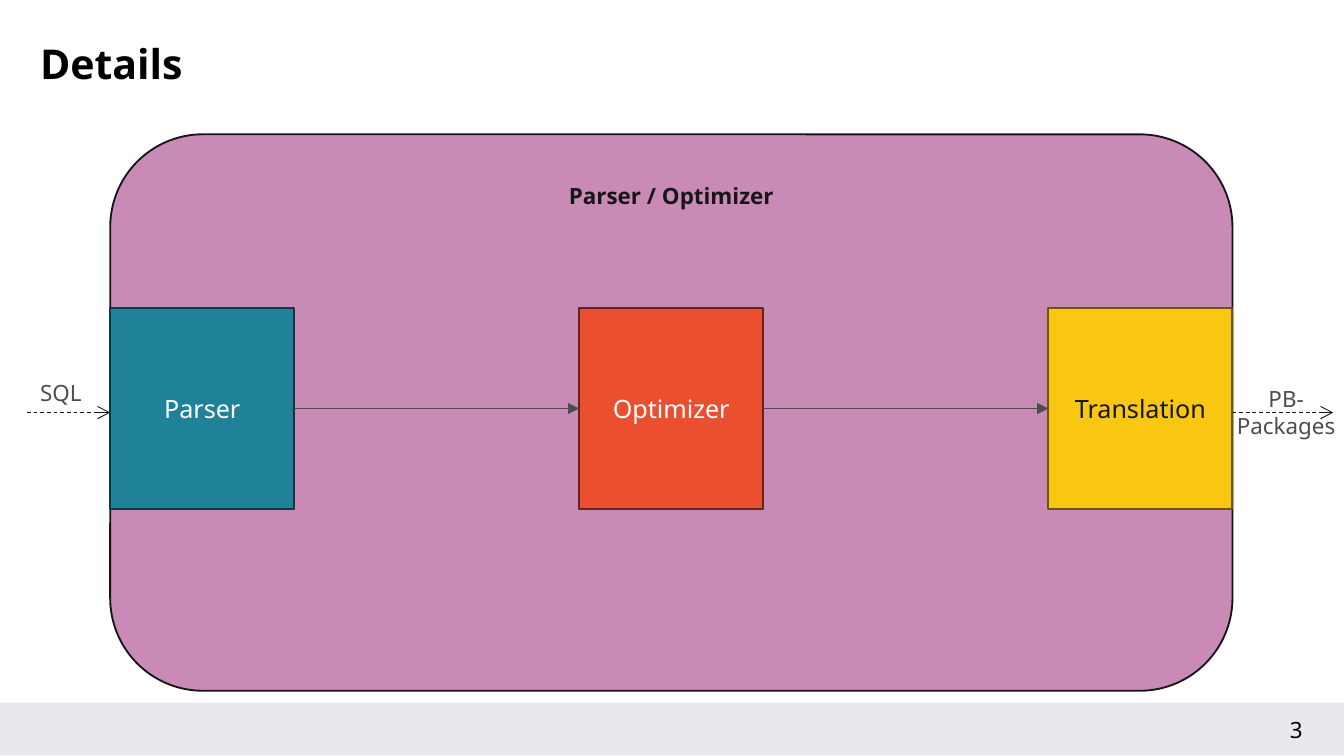
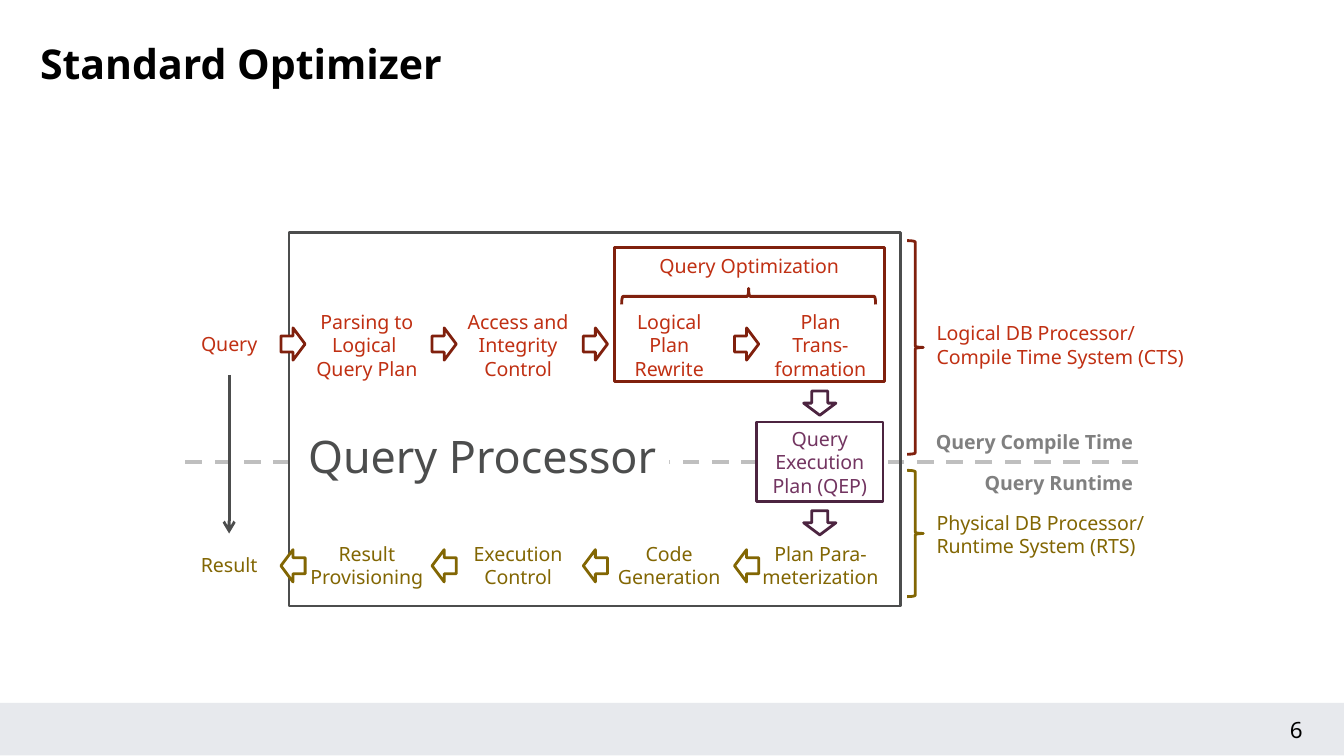
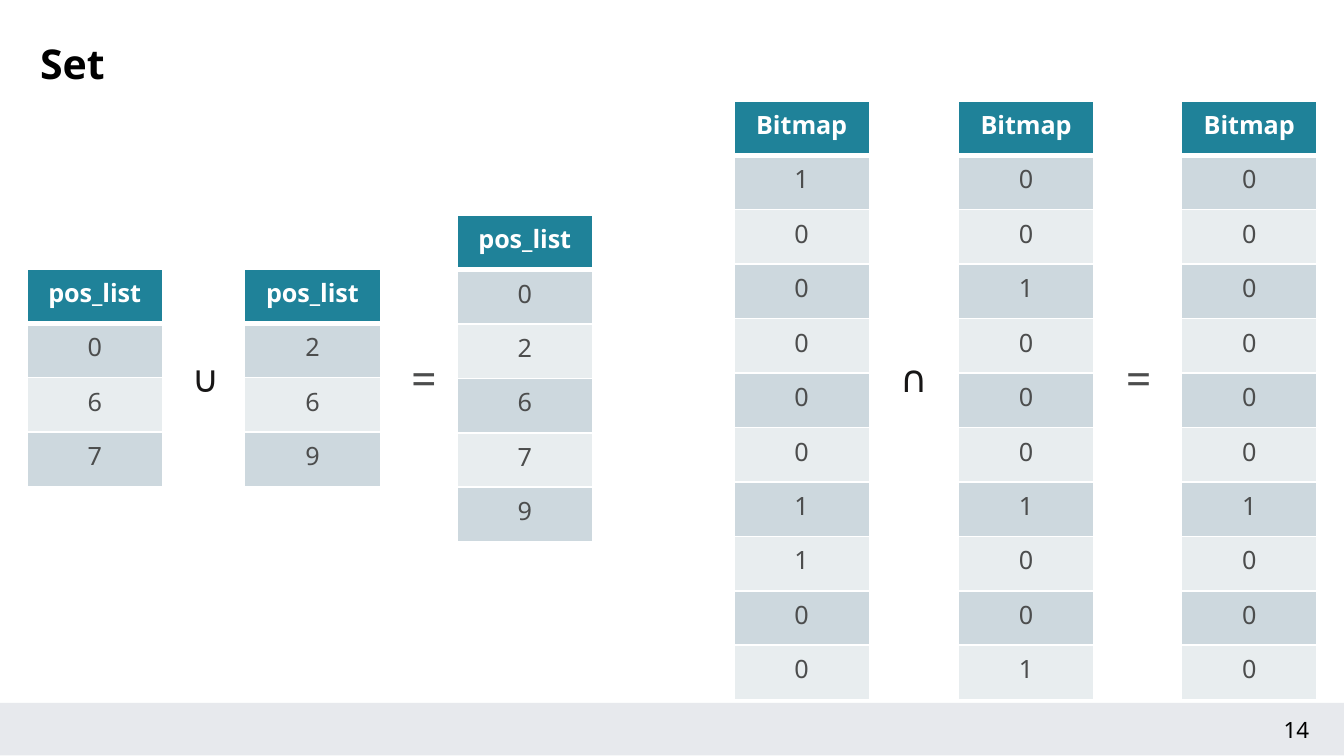
from dataclasses import dataclass
from typing import NamedTuple, Optional

from lxml import etree
from pptx import Presentation
from pptx import util as u
from pptx.dml.color import RGBColor
from pptx.enum import dml, shapes, text
from pptx.oxml.ns import qn

FONT = "Noto Sans"
COLORS = {
    "white": "FFFFFF", "black": "000000", "ink": "171616", "gray": "4C4D4D",
    "band": "E7E9ED", "mauve": "C98AB6",
    "teal": "1F8299", "teal_dark": "0E3943",
    "orange": "EA4F30", "orange_dark": "672315",
    "yellow": "F9C611", "yellow_dark": "6D5707",
    "red": "C03013", "red_dark": "80200D", "olive": "826603",
    "plum": "733561", "plum_dark": "4C2440",
    "dash": "BFBFBF", "time": "808080",
    "row_odd": "CDD8DE", "row_even": "E8EDEF",
}
SHAPE = shapes.MSO_SHAPE
ALIGN = text.PP_ALIGN
TOP, MIDDLE = text.MSO_ANCHOR.TOP, text.MSO_ANCHOR.MIDDLE
NORMAL = (0.1, 0.05, 0.1, 0.05)
TIGHT = (0.03, 0, 0.03, 0)


class Box(NamedTuple):
    x: float
    y: float
    w: float
    h: float

    def lengths(self):
        return [u.Inches(v) for v in self]


@dataclass
class Stage:
    name: str
    x: float
    fill: str
    line: str
    color: str


@dataclass
class Label:
    words: str
    box: Box
    color: str
    align: ALIGN = ALIGN.CENTER
    inset: tuple = TIGHT
    bold: bool = False


@dataclass
class Column:
    head: str
    values: str
    x: float
    y: float


@dataclass
class Operator:
    sign: str
    box: Box
    size: int
    color: str


# Shared drawing functions
def rgb(name: str) -> RGBColor:
    return RGBColor.from_string(COLORS[name])


def write(tf, words: str, size: float = 12, color: str = "gray", bold: bool = False,
          align=ALIGN.LEFT, spacing=None) -> None:
    """Fill a text frame: a newline starts a paragraph, \\v breaks a line."""
    tf.text = words
    for p in tf.paragraphs:
        p.alignment = align
        if spacing is not None:
            p.line_spacing = spacing
        for r in p.runs:
            r.font.name, r.font.size, r.font.bold = FONT, u.Pt(size), bold
            r.font.color.rgb = rgb(color)
        for br in p._p.findall(qn("a:br")):
            etree.SubElement(br, qn("a:rPr")).set("sz", str(int(size * 100)))


def frame(sp, anchor=TOP, inset=NORMAL, wrap: bool = True):
    tf = sp.text_frame
    tf.word_wrap, tf.vertical_anchor = wrap, anchor
    tf.margin_left, tf.margin_top, tf.margin_right, tf.margin_bottom = map(u.Inches, inset)
    return tf


def add_text(slide, box: Box, words: str, anchor=TOP, inset=NORMAL, wrap: bool = True, **fmt):
    sp = slide.shapes.add_textbox(*box.lengths())
    write(frame(sp, anchor, inset, wrap), words, **fmt)
    return sp


def add_shape(slide, kind, box: Box, fill: Optional[str] = None, line: Optional[str] = None,
              width: float = 1.5):
    sp = slide.shapes.add_shape(kind, *box.lengths())
    sp.shadow.inherit = False
    if fill:
        sp.fill.solid()
        sp.fill.fore_color.rgb = rgb(fill)
    else:
        sp.fill.background()
    if line:
        sp.line.color.rgb, sp.line.width = rgb(line), u.Pt(width)
    else:
        sp.line.fill.background()
    return sp


def add_line(slide, start: tuple, end: tuple, color: str, width: float,
             dashed: bool = False, head: str = "", begin=None, finish=None):
    """Draw a line; begin and finish are (shape, side) pairs to join."""
    c = slide.shapes.add_connector(shapes.MSO_CONNECTOR.STRAIGHT,
                                   *map(u.Inches, start + end))
    c.line.color.rgb, c.line.width = rgb(color), u.Pt(width)
    if dashed:
        c.line.dash_style = dml.MSO_LINE.DASH
    spPr = c._element.spPr
    if head:
        etree.SubElement(spPr.find(qn("a:ln")), qn("a:tailEnd")).set("type", head)
    etree.SubElement(spPr, qn("a:effectLst"))
    if begin:
        c.begin_connect(*begin)
    if finish:
        c.end_connect(*finish)
    return c


def add_slide(prs, title: str, number: int):
    slide = prs.slides.add_slide(prs.slide_layouts[6])
    add_shape(slide, SHAPE.RECTANGLE, Box(0, 5.23, 10, 0.39), "band")
    add_text(slide, Box(9.35, 5.28, 0.59, 0.3), str(number), color="black", align=ALIGN.CENTER)
    add_text(slide, Box(0.2, 0.28, 7.09, 0.47), title, size=22, color="black", bold=True,
             spacing=0.9)
    return slide


def add_column(slide, column: Column) -> None:
    row_h = 4.46 / 11
    cells = [column.head, *column.values]
    box = Box(column.x, column.y, 1.01, row_h * len(cells))
    table = slide.shapes.add_table(len(cells), 1, *box.lengths()).table
    table.horz_banding = False
    for i, words in enumerate(cells):
        table.rows[i].height = u.Inches(row_h)
        cell = table.cell(i, 0)
        is_head = i == 0
        for side in "LRTB":
            thick = (is_head and side == "B") or (i == 1 and side == "T")
            ln = etree.SubElement(cell._tc.get_or_add_tcPr(), qn(f"a:ln{side}"))
            ln.set("w", str(u.Pt(3 if thick else 1)))
            paint = etree.SubElement(ln, qn("a:solidFill"))
            etree.SubElement(paint, qn("a:srgbClr")).set("val", COLORS["white"])
        cell.fill.solid()
        cell.fill.fore_color.rgb = rgb("teal" if is_head else "row_odd" if i % 2 else "row_even")
        write(cell.text_frame, words, size=13.5, bold=is_head, align=ALIGN.CENTER,
              color="white" if is_head else "gray")


# Slide: parser, optimizer and translation inside one component
def details(prs) -> None:
    slide = add_slide(prs, "Details", 3)
    add_text(slide, Box(9.09, 2.82, 0.96, 0.5), "PB-\nPackages", align=ALIGN.CENTER)
    component = add_shape(slide, SHAPE.ROUNDED_RECTANGLE, Box(0.82, 1, 8.35, 4.14),
                          "mauve", "ink", 1)
    write(frame(component), "Parser / Optimizer", color="ink", bold=True,
          align=ALIGN.CENTER, spacing=u.Pt(22))
    add_line(slide, (0.2, 3.07), (0.82, 3.07), "ink", 0.5, True, "arrow", finish=(component, 1))
    add_line(slide, (9.17, 3.07), (9.92, 3.07), "ink", 0.5, True, "arrow", begin=(component, 3))
    add_text(slide, Box(0.2, 2.77, 0.51, 0.3), "SQL", wrap=False)

    previous = None
    for stage in (Stage("Parser", 0.82, "teal", "teal_dark", "white"),
                  Stage("Optimizer", 4.31, "orange", "orange_dark", "white"),
                  Stage("Translation", 7.8, "yellow", "yellow_dark", "ink")):
        sp = add_shape(slide, SHAPE.RECTANGLE, Box(stage.x, 2.29, 1.37, 1.5),
                       stage.fill, stage.line, 1)
        write(frame(sp, MIDDLE), stage.name, size=13.5, color=stage.color, align=ALIGN.CENTER)
        if previous:
            add_line(slide, (stage.x - 2.12, 3.04), (stage.x, 3.04), "gray", 0.5,
                     head="triangle", begin=(previous, 3), finish=(sp, 1))
        previous = sp


# Slide: query processing from compile time to runtime
def standard_optimizer(prs) -> None:
    slide = add_slide(prs, "Standard Optimizer", 6)
    pitch = 1.125
    add_line(slide, (8.47, 3.44), (1.38, 3.44), "dash", 2.25, True)
    add_shape(slide, SHAPE.RECTANGLE, Box(2.15, 1.73, 4.55, 2.78), line="gray")

    # Query optimization group
    group = add_shape(slide, SHAPE.RECTANGLE, Box(4.57, 1.84, 2.01, 1), line="red_dark")
    write(frame(group), "Query Optimization", size=10.5, color="red", align=ALIGN.CENTER)
    brace = add_shape(slide, SHAPE.RIGHT_BRACE, Box(5.51, 1.26, 0.12, 1.89), line="red_dark")
    brace.rotation = 270

    # Two rows of steps, each step with an arrow on its left
    rows = (
        (2.27, 2.44, SHAPE.RIGHT_ARROW, "red", "red_dark",
         ("Parsing to\vLogical \vQuery Plan", "Access and\vIntegrity\vControl",
          "Logical\vPlan\vRewrite", "Plan\vTrans-\vformation")),
        (3.91, 4.09, SHAPE.LEFT_ARROW, "olive", "olive",
         ("Result\vProvisioning", "Execution\vControl",
          "Code\vGeneration", "Plan Para-\vmeterization")),
    )
    labels = []
    for label_y, arrow_y, arrow, color, line, steps in rows:
        for i, step in enumerate(steps):
            add_shape(slide, arrow, Box(2.09 + i * pitch, arrow_y, 0.18, 0.24), "white", line)
            labels.append(Label(step, Box(2.26 + i * pitch, label_y, 0.94, 0.59), color))

    # Side labels
    time_inset = (0.03, 0.05, 0.03, 0.05)
    labels += [
        Label("Logical DB Processor/\vCompile Time System (CTS)", Box(6.87, 2.27, 2.05, 0.59),
              "red", ALIGN.LEFT, NORMAL),
        Label("Physical DB Processor/\vRuntime System (RTS)", Box(6.87, 3.68, 2.05, 0.59),
              "olive", ALIGN.LEFT, NORMAL),
        Label("Query Compile Time", Box(6.87, 3.14, 1.59, 0.3), "time", ALIGN.RIGHT,
              time_inset, True),
        Label("Query Runtime", Box(6.87, 3.44, 1.59, 0.3), "time", ALIGN.RIGHT,
              time_inset, True),
        Label("Query", Box(1.32, 2.32, 0.77, 0.47), "red"),
        Label("Result", Box(1.32, 3.97, 0.77, 0.47), "olive"),
    ]
    boxes = {}
    for lb in labels:
        boxes[lb.words] = add_text(slide, lb.box, lb.words, MIDDLE, lb.inset, False, size=10.5,
                                   color=lb.color, align=lb.align, bold=lb.bold)
    add_line(slide, (1.7, 2.79), (1.7, 3.97), "gray", 1.5, head="arrow",
             begin=(boxes["Query"], 2), finish=(boxes["Result"], 0))
    for y, h, line in ((1.79, 1.59, "red_dark"), (3.5, 0.94, "olive")):
        add_shape(slide, SHAPE.RIGHT_BRACE, Box(6.75, y, 0.12, h), line=line)

    # Execution plan between the two rows
    plan = add_shape(slide, SHAPE.RECTANGLE, Box(5.63, 3.14, 0.94, 0.59), "white", "plum_dark")
    write(frame(plan, MIDDLE, TIGHT, False), "Query\vExecution\vPlan (QEP)", size=10.5,
          color="plum", align=ALIGN.CENTER)
    for y in (2.91, 3.8):
        add_shape(slide, SHAPE.DOWN_ARROW, Box(5.98, y, 0.24, 0.18), "white", "plum_dark")

    processor = add_shape(slide, SHAPE.RECTANGLE, Box(2.17, 3.14, 2.81, 0.5), "white")
    write(frame(processor, wrap=False), "Query Processor", size=24, align=ALIGN.RIGHT)


# Slide: set operations on position lists and bitmaps
def set_operations(prs) -> None:
    slide = add_slide(prs, "Set", 14)
    for column in (Column("Bitmap", "1000001100", 5.46, 0.75),
                   Column("Bitmap", "0010001001", 7.13, 0.75),
                   Column("Bitmap", "0000001000", 8.79, 0.75),
                   Column("pos_list", "067", 0.2, 2),
                   Column("pos_list", "269", 1.82, 2),
                   Column("pos_list", "02679", 3.4, 1.6)):
        add_column(slide, column)
    for op in (Operator("∩", Box(6.6, 2.59, 0.37, 0.44), 20, "ink"),
               Operator("=", Box(8.28, 2.56, 0.37, 0.5), 24, "gray"),
               Operator("∪", Box(1.33, 2.59, 0.37, 0.44), 20, "ink"),
               Operator("=", Box(2.96, 2.56, 0.32, 0.5), 24, "gray")):
        add_text(slide, op.box, op.sign, size=op.size, color=op.color)


def main() -> None:
    prs = Presentation()
    prs.slide_width, prs.slide_height = u.Inches(10), u.Inches(5.625)
    details(prs)
    standard_optimizer(prs)
    set_operations(prs)
    prs.save("out.pptx")


if __name__ == "__main__":
    main()
